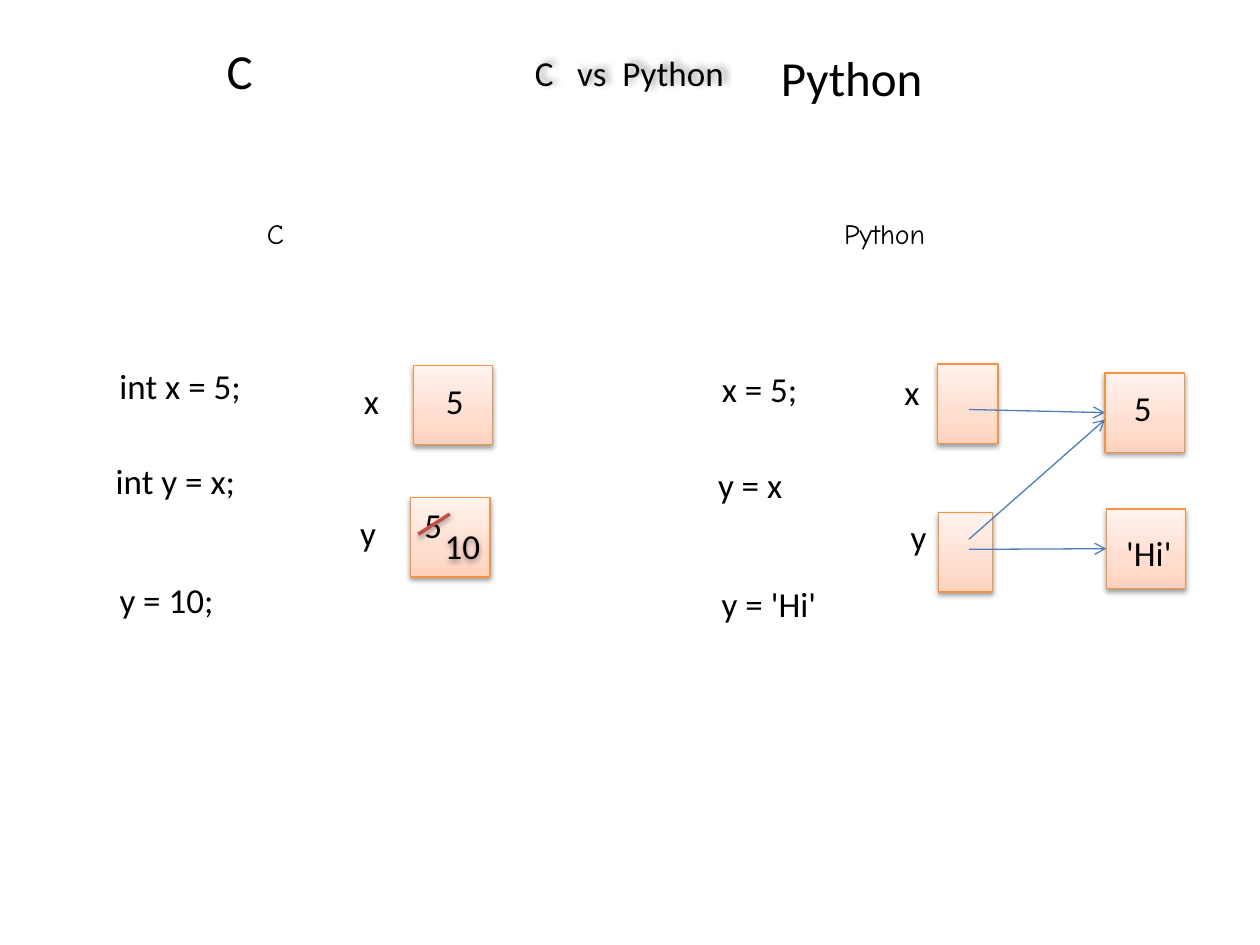
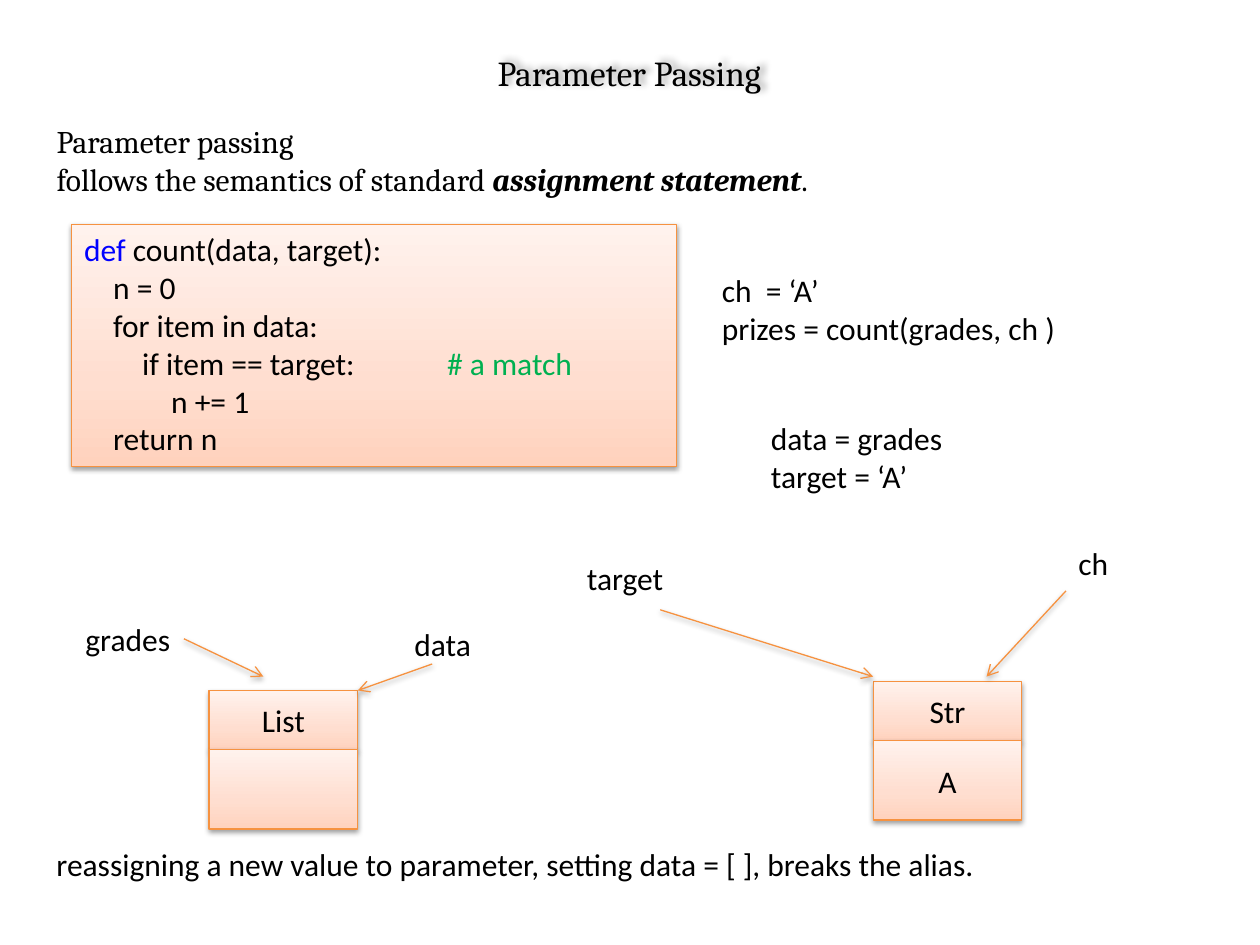
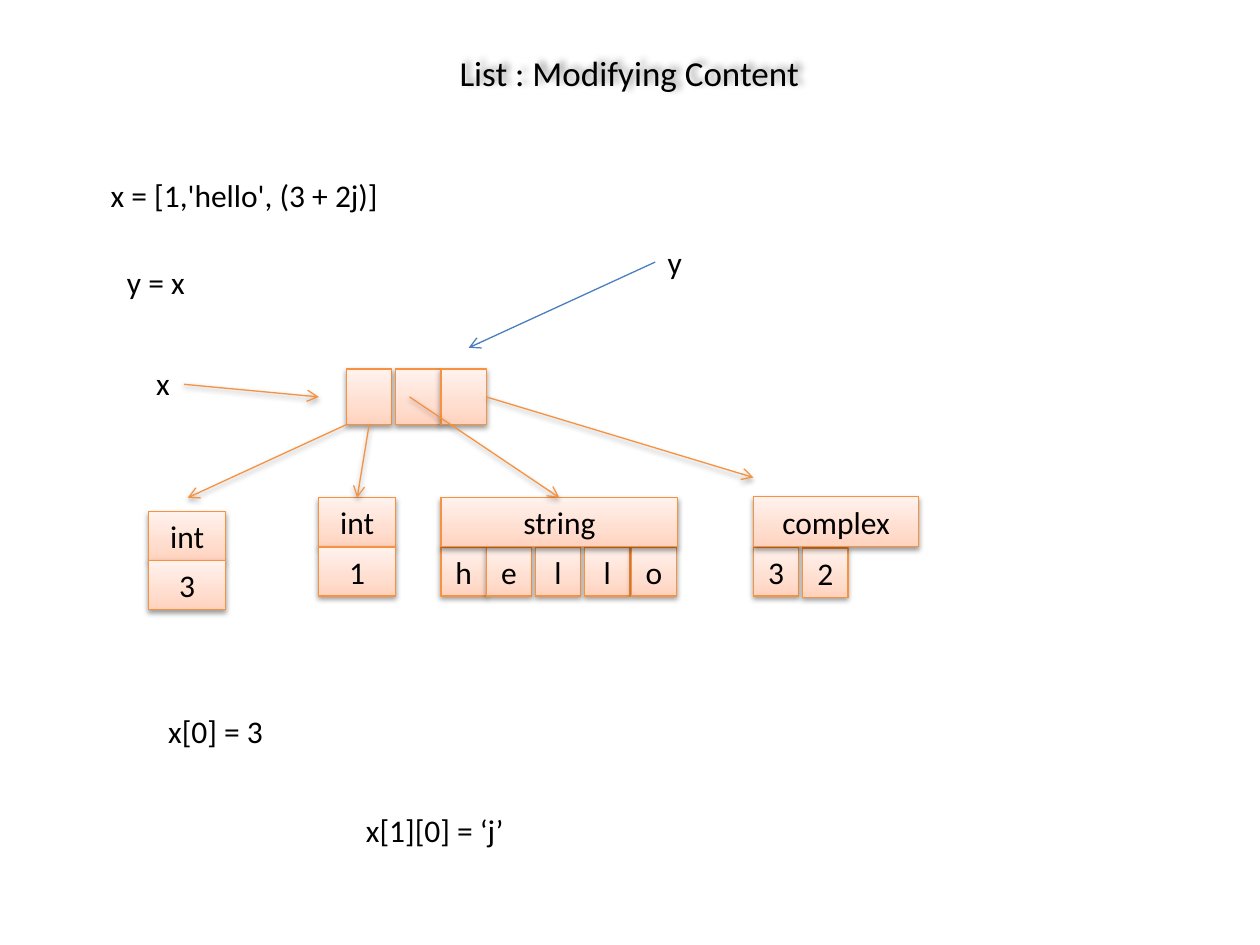
from dataclasses import dataclass
from typing import NamedTuple

from lxml import etree
from pptx import Presentation
from pptx.dml.color import RGBColor
from pptx.enum.shapes import MSO_CONNECTOR, MSO_SHAPE
from pptx.enum.text import MSO_ANCHOR, MSO_AUTO_SIZE, PP_ALIGN
from pptx.oxml.ns import qn
from pptx.util import Inches, Pt

RECTANGLE = MSO_SHAPE.RECTANGLE
STRAIGHT = MSO_CONNECTOR.STRAIGHT
LEFT, CENTER = PP_ALIGN.LEFT, PP_ALIGN.CENTER
TOP_ANCHOR, MIDDLE = MSO_ANCHOR.TOP, MSO_ANCHOR.MIDDLE
GROW = MSO_AUTO_SIZE.SHAPE_TO_FIT_TEXT
TOP_SIDE, LEFT_SIDE, BOTTOM_SIDE, RIGHT_SIDE = range(4)
TITLE_ONLY_LAYOUT = 5


# Shared look
class Shadow(NamedTuple):
    opacity: int
    blur: float
    distance: float
    angle: int


@dataclass(frozen=True)
class Theme:
    text: str = "000000"
    paper: str = "FFFFFF"
    keyword: str = "0000FF"
    remark: str = "00B050"
    orange: str = "F69240"
    blue: str = "4B7EBC"
    red: str = "C0504D"
    gradient: tuple = ((0, "FFD2BD"), (35, "FFDED0"), (100, "FFF2ED"))
    gradient_angle: int = 270
    box_shadow: Shadow = Shadow(38, 3.1, 1.6, 90)
    title_shadow: Shadow = Shadow(40, 4, 3, 315)
    body_font: str = "Calibri"
    serif_font: str = "Cambria"
    hand_font: str = "Comic Neue"
    small: int = 16
    body: int = 18
    large: int = 20
    heading: int = 28
    thin: float = 0.75
    thick: float = 2


THEME = Theme()


class Run(NamedTuple):
    text: str
    color: str = THEME.text
    strong: bool = False


class Line(NamedTuple):
    runs: tuple
    indent: float = 0
    tab: float = 0


class Box(NamedTuple):
    left: float
    top: float
    width: float
    height: float
    text: str = ""


class Label(NamedTuple):
    text: str | list
    left: float
    top: float
    width: float


class Stack(NamedTuple):
    left: float
    top: float
    width: float
    header_height: float
    value_height: float
    header: str
    value: str = ""


class Arrow(NamedTuple):
    start: tuple
    end: tuple


# Formatting
def add_color(parent, color: str):
    return etree.SubElement(parent, qn("a:srgbClr"), val=color)


def set_shadow(shape, shadow: Shadow | None) -> None:
    properties = shape._element.spPr
    for effects in properties.findall(qn("a:effectLst")):
        properties.remove(effects)
    effects = etree.SubElement(properties, qn("a:effectLst"))
    if shadow:
        outer = etree.SubElement(
            effects, qn("a:outerShdw"), blurRad=str(Pt(shadow.blur)),
            dist=str(Pt(shadow.distance)), dir=str(shadow.angle * 60000),
            rotWithShape="0")
        color = add_color(outer, THEME.text)
        etree.SubElement(color, qn("a:alpha"), val=str(shadow.opacity * 1000))


def set_gradient(shape) -> None:
    shape.fill.gradient()
    gradient = shape._element.spPr.find(qn("a:gradFill"))
    for child in list(gradient):
        gradient.remove(child)
    stops = etree.SubElement(gradient, qn("a:gsLst"))
    for position, color in THEME.gradient:
        add_color(etree.SubElement(stops, qn("a:gs"), pos=str(position * 1000)), color)
    etree.SubElement(gradient, qn("a:lin"), scaled="1",
                     ang=str(THEME.gradient_angle * 60000))


def write_text(shape, text: str | list, *, size: int = THEME.body,
               font: str = THEME.body_font, align=LEFT, anchor=TOP_ANCHOR,
               wrap: bool = True, grow: bool = False) -> None:
    frame = shape.text_frame
    frame.word_wrap = wrap
    frame.vertical_anchor = anchor
    if grow:
        frame.auto_size = GROW
    lines = [Line((Run(text),))] if isinstance(text, str) else text
    for index, line in enumerate(lines):
        paragraph = frame.add_paragraph() if index else frame.paragraphs[0]
        paragraph.alignment = align
        properties = paragraph._p.get_or_add_pPr()
        if line.indent:
            properties.set("marL", str(Inches(line.indent)))
        if line.tab:
            stops = etree.SubElement(properties, qn("a:tabLst"))
            etree.SubElement(stops, qn("a:tab"), pos=str(Inches(line.tab)), algn="l")
        for part in line.runs:
            run = paragraph.add_run()
            run.text = part.text
            run.font.size, run.font.name = Pt(size), font
            run.font.color.rgb = RGBColor.from_string(part.color)
            run.font.bold = run.font.italic = part.strong


# Drawing
def add_slide(presentation, title: str, font: str = THEME.body_font):
    slide = presentation.slides.add_slide(presentation.slide_layouts[TITLE_ONLY_LAYOUT])
    shape = slide.shapes.title
    shape.left, shape.top = Inches(0.23), Inches(0.3)
    shape.width, shape.height = Inches(9.53), Inches(0.55)
    shape.fill.background()
    set_shadow(shape, THEME.title_shadow)
    write_text(shape, title, size=THEME.large, font=font, align=CENTER, anchor=MIDDLE)
    return slide


def draw_box(slide, box: Box):
    shape = slide.shapes.add_shape(RECTANGLE, *map(Inches, box[:4]))
    set_gradient(shape)
    shape.line.color.rgb = RGBColor.from_string(THEME.orange)
    shape.line.width = Pt(THEME.thin)
    set_shadow(shape, THEME.box_shadow)
    if box.text:
        write_text(shape, box.text, align=CENTER, anchor=MIDDLE)
    return shape


def draw_stack(slide, stack: Stack):
    header = draw_box(slide, Box(stack.left, stack.top, stack.width,
                                 stack.header_height, stack.header))
    draw_box(slide, Box(stack.left, stack.top + stack.header_height, stack.width,
                        stack.value_height, stack.value))
    return header


def draw_label(slide, label: Label, *, size: int = THEME.body,
               font: str = THEME.body_font, wrap: bool = False):
    line_count = 1 if isinstance(label.text, str) else len(label.text)
    height = round(0.1 + line_count * size * 1.22 / 72, 2)
    shape = slide.shapes.add_textbox(
        *map(Inches, (label.left, label.top, label.width, height)))
    write_text(shape, label.text, size=size, font=font, wrap=wrap, grow=True)
    return shape


def draw_line(slide, arrow: Arrow, *, color: str = THEME.orange,
              width: float = THEME.thin, shadow: Shadow | None = THEME.box_shadow,
              head: bool = True, begin: tuple = (), end: tuple = ()) -> None:
    connector = slide.shapes.add_connector(
        STRAIGHT, *map(Inches, arrow.start + arrow.end))
    if begin:
        connector.begin_connect(*begin)
    if end:
        connector.end_connect(*end)
    connector.line.color.rgb = RGBColor.from_string(color)
    connector.line.width = Pt(width)
    if head:
        etree.SubElement(connector.line._get_or_add_ln(), qn("a:tailEnd"), type="arrow")
    set_shadow(connector, shadow)


# Slides
def build_comparison(presentation) -> None:
    slide = add_slide(presentation, "C   vs  Python")
    side = 0.63
    for left, top in ((3.28, 2.9), (3.26, 3.95)):
        draw_box(slide, Box(left, top, side, side))
    five = draw_box(slide, Box(8.77, 2.96, side, side))
    greeting = draw_box(slide, Box(8.78, 4.04, side, side))
    for left, top, width in ((7.44, 2.89, 0.48), (7.45, 4.07, 0.43)):
        draw_box(slide, Box(left, top, width, side))

    for label in (Label("Python", 6.1, 0.33, 1.34), Label("C", 1.7, 0.27, 0.41)):
        heading = draw_label(slide, label, size=THEME.heading)
        heading.fill.solid()
        heading.fill.fore_color.rgb = RGBColor.from_string(THEME.paper)
    for label in (Label("C", 2.02, 1.67, 0.4), Label("Python", 6.6, 1.67, 0.91)):
        draw_label(slide, label, size=THEME.small, font=THEME.hand_font)

    for label in (
        Label("int x = 5;", 0.85, 2.84, 1.17),
        Label("int y = x;", 0.82, 3.6, 1.16),
        Label("y = 10;", 0.85, 4.54, 0.95),
        Label("x", 2.79, 2.96, 0.32),
        Label("y", 2.76, 4.01, 0.33),
        Label("5", 3.44, 2.96, 0.34),
        Label("5", 3.27, 3.95, 0.34),
        Label("x = 5;", 5.63, 2.87, 0.81),
        Label("y = x", 5.6, 3.63, 0.72),
        Label("y = 'Hi'", 5.63, 4.57, 0.96),
        Label("x", 7.08, 2.89, 0.32),
        Label("y", 7.13, 4.04, 0.33),
        Label("5", 8.9, 3.02, 0.34),
        Label("'Hi'", 8.84, 4.17, 0.56),
    ):
        draw_label(slide, label, size=THEME.large)
    new_value = draw_label(slide, Label("10", 3.43, 4.11, 0.49), size=THEME.large)
    set_shadow(new_value, THEME.box_shadow)

    for arrow, end in (
        (Arrow((7.69, 4.28), (8.77, 3.33)), ()),
        (Arrow((7.69, 3.25), (8.77, 3.27)), (five, LEFT_SIDE)),
        (Arrow((7.69, 4.36), (8.78, 4.36)), (greeting, LEFT_SIDE)),
    ):
        draw_line(slide, arrow, color=THEME.blue, shadow=None, end=end)
    strike = Arrow((3.32, 4.24), (3.57, 4.08))
    draw_line(slide, strike, color=THEME.red, width=THEME.thick, head=False)


def build_parameters(presentation) -> None:
    slide = add_slide(presentation, "Parameter Passing", THEME.serif_font)
    rule = [
        Line((Run("Parameter passing"),)),
        Line((Run("follows the semantics of standard "),
              Run("assignment statement", strong=True), Run("."))),
    ]
    draw_label(slide, Label(rule, 0.35, 0.92, 9.29), font=THEME.serif_font, wrap=True)

    # Function listing
    step = 0.23
    code = [
        Line((Run("def", THEME.keyword), Run(" count(data, target):"))),
        Line((Run("n = 0"),), step),
        Line((Run("for item in data:"),), step),
        Line((Run("if item == target:\t"), Run("# a match", THEME.remark)),
             2 * step, tab=2.42),
        Line((Run("n += 1"),), 3 * step),
        Line((Run("return n"),), step),
    ]
    listing = draw_box(slide, Box(0.57, 1.78, 4.8, 1.92))
    write_text(listing, code, grow=True)

    # Call and its bindings
    call = [Line((Run("ch  = ‘A’"),)), Line((Run("prizes = count(grades, ch )"),))]
    bindings = [Line((Run("data = grades"),)), Line((Run("target = ‘A’"),))]
    draw_label(slide, Label(call, 5.63, 2.1, 2.88))
    draw_label(slide, Label(bindings, 6.02, 3.28, 3.21), wrap=True)

    # Names pointing at objects
    draw_stack(slide, Stack(1.66, 5.48, 1.18, 0.47, 0.63, "List"))
    draw_stack(slide, Stack(6.93, 5.41, 1.18, 0.47, 0.63, "Str", "A"))
    for label, arrow in (
        (Label("data", 3.19, 4.91, 0.66), Arrow((3.43, 5.27), (2.84, 5.48))),
        (Label("grades", 0.58, 4.87, 0.88), Arrow((1.46, 5.07), (2.09, 5.37))),
        (Label("target", 4.56, 4.39, 0.81), Arrow((5.24, 4.84), (6.93, 5.37))),
        (Label("ch", 8.46, 4.27, 0.44), Arrow((8.46, 4.69), (7.83, 5.37))),
    ):
        draw_label(slide, label)
        draw_line(slide, arrow)
    note = "reassigning a new value to parameter, setting data = [ ], breaks the alias."
    draw_label(slide, Label(note, 0.35, 6.66, 7.87), wrap=True)


def build_list(presentation) -> None:
    slide = add_slide(presentation, "List : Modifying Content")
    cell, row = 0.36, 0.39

    # List slots
    first, _, last = [draw_box(slide, Box(left, 2.93, cell, 0.44))
                      for left in (2.75, 3.14, 3.5)]

    # Objects in the list
    new_int = Stack(1.18, 4.06, 0.61, row, row, "int", "3")
    old_int = Stack(2.53, 3.95, 0.61, row, row, "int", "1")
    draw_stack(slide, new_int)
    integer = draw_stack(slide, old_int)
    for letter, left in zip("hello", (3.5, 3.86, 4.25, 4.64, 5.01)):
        draw_box(slide, Box(left, 4.34, cell, row, letter))
    string = draw_box(slide, Box(3.5, 3.95, 1.88, row, "string"))
    draw_box(slide, Box(5.98, 4.34, cell, row, "3"))
    draw_box(slide, Box(6.37, 4.35, cell, row, "2"))
    draw_box(slide, Box(5.98, 3.94, 1.31, 0.4, "complex"))

    for label in (
        Label("x = [1,'hello', (3 + 2j)]", 0.78, 1.35, 2.35),
        Label("y = x", 0.91, 2.04, 0.67),
        Label("x", 1.14, 2.84, 0.31),
        Label("y", 5.2, 1.88, 0.32),
        Label(" x[0] = 3", 1.18, 5.6, 1.02),
        Label(" x[1][0] = ‘j’", 2.75, 6.39, 1.36),
    ):
        draw_label(slide, label)

    # References
    for arrow, begin, end in (
        (Arrow((1.46, 3.05), (2.53, 3.15)), (), ()),
        (Arrow((2.75, 3.37), (1.49, 3.95)), (), ()),
        (Arrow((2.93, 3.37), (2.83, 3.95)), (first, BOTTOM_SIDE), (integer, TOP_SIDE)),
        (Arrow((3.25, 3.15), (4.44, 3.95)), (), (string, TOP_SIDE)),
        (Arrow((3.86, 3.15), (5.98, 3.79)), (last, RIGHT_SIDE), ()),
    ):
        draw_line(slide, arrow, begin=begin, end=end)
    alias = Arrow((5.2, 2.08), (3.72, 2.76))
    draw_line(slide, alias, color=THEME.blue, shadow=None)


def main() -> None:
    presentation = Presentation()
    presentation.slide_width, presentation.slide_height = Inches(10), Inches(7.5)
    build_comparison(presentation)
    build_parameters(presentation)
    build_list(presentation)
    presentation.save("out.pptx")


if __name__ == "__main__":
    main()
